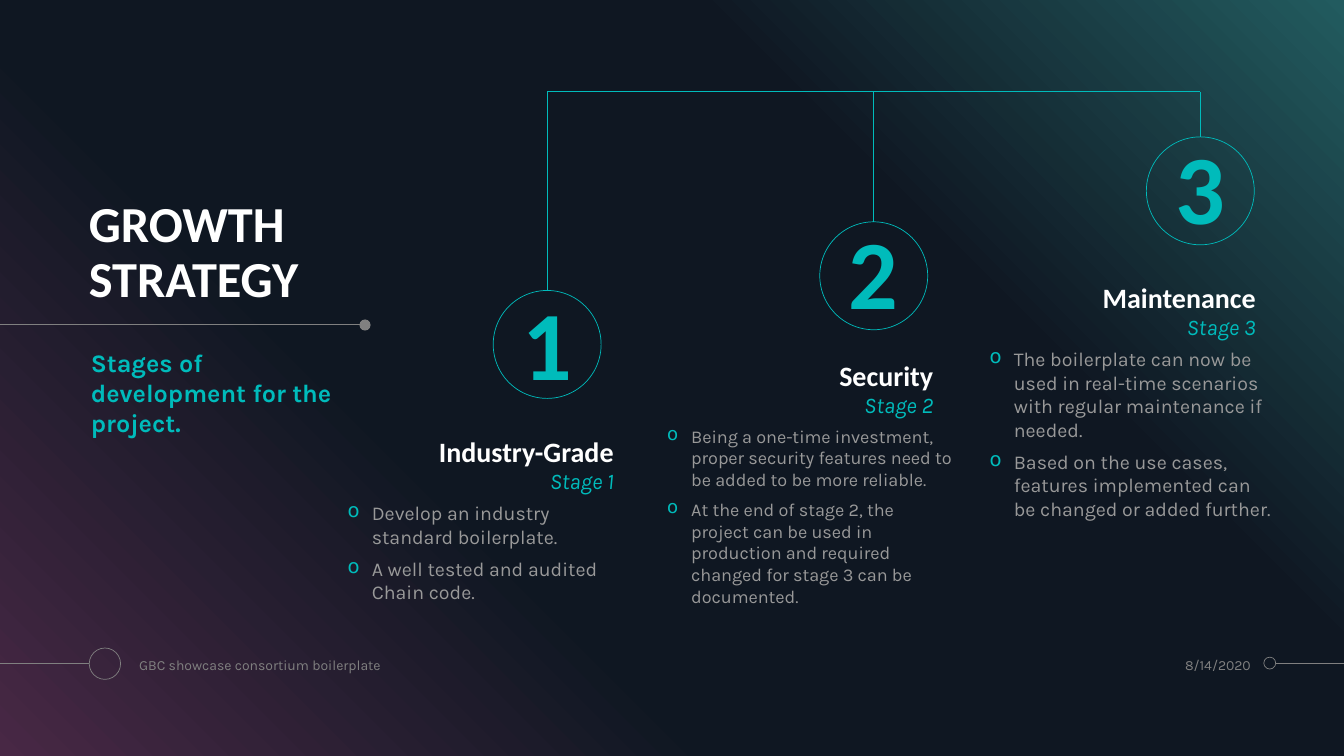
from lxml import etree
from pptx import Presentation
from pptx.dml.color import RGBColor
from pptx.enum.shapes import MSO_CONNECTOR as Connector, MSO_SHAPE as Shape
from pptx.enum.text import MSO_ANCHOR as Anchor, PP_ALIGN as Align
from pptx.oxml.ns import qn
from pptx.util import Cm, Pt

COLORS = {"teal": "00BBBB", "white": "FFFFFF", "body": "999999", "gray": "808080",
          "plum": "482845", "night": "0F1722", "sea": "225B5F"}
BACKDROP = [(0, "plum"), (34, "night"), (69, "night"), (100, "sea")]
WIDTH, HEIGHT = 33.87, 19.05

TITLE = "GROWTH\vSTRATEGY"
SUBTITLE = "Stages of development for the project."
FOOTER = "GBC showcase consortium boilerplate"
DATE = "8/14/2020"

STAGES = [
    {"heading": "Industry-Grade", "circle_top": 7.32, "digit_inset": 0.2,
     "left": 8.76, "top": 10.8, "size": 14,
     "points": ["Develop an industry standard boilerplate.",
                "A well tested and audited Chain code."]},
    {"heading": "Security", "circle_top": 5.59, "digit_inset": 0.1,
     "left": 16.81, "top": 8.88, "size": 12.9,
     "points": ["Being a one-time investment, proper security features need "
                "to be added to be more reliable.",
                "At the end of stage 2, the project can be used in production "
                "and required changed for stage 3 can be documented."]},
    {"heading": "Maintenance", "circle_top": 3.45, "digit_inset": 0.1,
     "left": 24.94, "top": 6.92, "size": 14,
     "points": ["The boilerplate can now be used in real-time scenarios with "
                "regular maintenance if needed.",
                "Based on the use cases, features implemented can be changed "
                "or added further."]},
]
BUS_TOP, FIRST_CENTER, CENTER_GAP, DIAMETER = 2.31, 13.79, 8.23, 2.72
HEADING_WIDTH, POINTS_WIDTH, POINTS_HEIGHT, INDENT = 6.71, 7.19, 4.6, 0.61

deck = Presentation()
deck.slide_width, deck.slide_height = Cm(WIDTH), Cm(HEIGHT)
slide = deck.slides.add_slide(deck.slide_layouts[6])


def rgb(name):
    return RGBColor.from_string(COLORS[name])


def add_line(x1, y1, x2, y2, color):
    line = slide.shapes.add_connector(Connector.STRAIGHT, Cm(x1), Cm(y1), Cm(x2), Cm(y2))
    line.line.color.rgb = rgb(color)
    line.line.width = Pt(0.5)
    etree.SubElement(line._element.spPr, qn("a:effectLst"))


def add_circle(x, y, diameter, color, filled=False):
    circle = slide.shapes.add_shape(Shape.OVAL, Cm(x), Cm(y), Cm(diameter), Cm(diameter))
    circle.shadow.inherit = False
    if filled:
        circle.fill.solid()
        circle.fill.fore_color.rgb = rgb(color)
        circle.line.fill.background()
    else:
        circle.fill.background()
        circle.line.color.rgb = rgb(color)
        circle.line.width = Pt(0.5)
    return circle


def add_bullet(paragraph):
    props = paragraph._p.get_or_add_pPr()
    props.set("marL", str(Cm(INDENT)))
    props.set("indent", str(-Cm(INDENT)))
    tint = etree.SubElement(props, qn("a:buClr"))
    etree.SubElement(tint, qn("a:srgbClr"), val=COLORS["teal"])
    etree.SubElement(props, qn("a:buChar"), char="o")


def write(text, box=None, host=None, size=14, font="Karla", color="body", bold=False,
          italic=False, align=Align.LEFT, anchor=Anchor.TOP, spacing=1.0, before=0,
          top_inset=0, bullets=False):
    host = host or slide.shapes.add_textbox(*map(Cm, box))
    frame = host.text_frame
    frame.word_wrap = True
    frame.vertical_anchor = anchor
    frame.margin_left = frame.margin_right = frame.margin_bottom = 0
    frame.margin_top = Cm(top_inset)
    for i, words in enumerate(text if bullets else [text]):
        paragraph = frame.add_paragraph() if i else frame.paragraphs[0]
        paragraph.text = words
        paragraph.alignment = align
        paragraph.line_spacing = spacing
        paragraph.space_before = Pt(before)
        if bullets:
            add_bullet(paragraph)
        for run in paragraph.runs:
            run.font.name, run.font.size = font, Pt(size)
            run.font.bold, run.font.italic = bold, italic
            run.font.color.rgb = rgb(color)


def add_backdrop():
    backdrop = slide.shapes.add_shape(Shape.RECTANGLE, 0, 0, Cm(WIDTH), Cm(HEIGHT))
    backdrop.shadow.inherit = False
    backdrop.line.fill.background()
    backdrop.fill.gradient()
    backdrop.fill.gradient_angle = 45
    stops = backdrop._element.spPr.find(qn("a:gradFill")).find(qn("a:gsLst"))
    for stop in list(stops):
        stops.remove(stop)
    for percent, color in BACKDROP:
        stop = etree.SubElement(stops, qn("a:gs"), pos=str(percent * 1000))
        etree.SubElement(stop, qn("a:srgbClr"), val=COLORS[color])


def add_stage(number, stage):
    center = FIRST_CENTER + CENTER_GAP * (number - 1)
    left, top = stage["left"], stage["top"]
    add_line(center, stage["circle_top"], center, BUS_TOP, "teal")
    circle = add_circle(center - DIAMETER / 2, stage["circle_top"], DIAMETER, "teal")
    write(str(number), host=circle, size=70, font="Calibri", color="teal", bold=True,
          align=Align.CENTER, anchor=Anchor.MIDDLE, spacing=0.9,
          top_inset=stage["digit_inset"])
    write(stage["heading"], (left, top, HEADING_WIDTH, 1), size=20, font="Calibri",
          color="white", bold=True, align=Align.RIGHT, anchor=Anchor.BOTTOM,
          spacing=0.9, before=6)
    write(f"Stage {number}", (left, top + 1, HEADING_WIDTH, 0.66), size=16,
          color="teal", italic=True, align=Align.RIGHT, anchor=Anchor.BOTTOM,
          spacing=0.9, before=6)
    write(stage["points"], (left, top + 1.83, POINTS_WIDTH, POINTS_HEIGHT),
          size=stage["size"], before=6, bullets=True)


add_backdrop()
add_line(0, 8.18, 9.09, 8.18, "gray")
add_circle(9.06, 8.05, 0.28, "gray", filled=True)
write(TITLE, (2.24, 4.19, 7.85, 3.58), size=36, font="Calibri", color="white",
      bold=True, anchor=Anchor.BOTTOM, spacing=0.9)
write(SUBTITLE, (2.29, 8.74, 6.15, 5.82), size=18, color="teal", bold=True, before=10)

add_line(FIRST_CENTER, BUS_TOP, FIRST_CENTER + CENTER_GAP * (len(STAGES) - 1), BUS_TOP, "teal")
for number, stage in enumerate(STAGES, 1):
    add_stage(number, stage)

add_line(0, 16.72, 2.24, 16.72, "gray")
add_circle(2.25, 16.33, 0.79, "gray")
write(FOOTER, (3.51, 16.33, 7.6, 0.84), size=10, color="gray", anchor=Anchor.MIDDLE)
write(DATE, (27.81, 16.33, 3.71, 0.84), size=10, color="gray", align=Align.RIGHT,
      anchor=Anchor.MIDDLE)
add_circle(31.85, 16.56, 0.3, "gray")
add_line(32.16, 16.72, WIDTH, 16.72, "gray")

deck.save("out.pptx")
